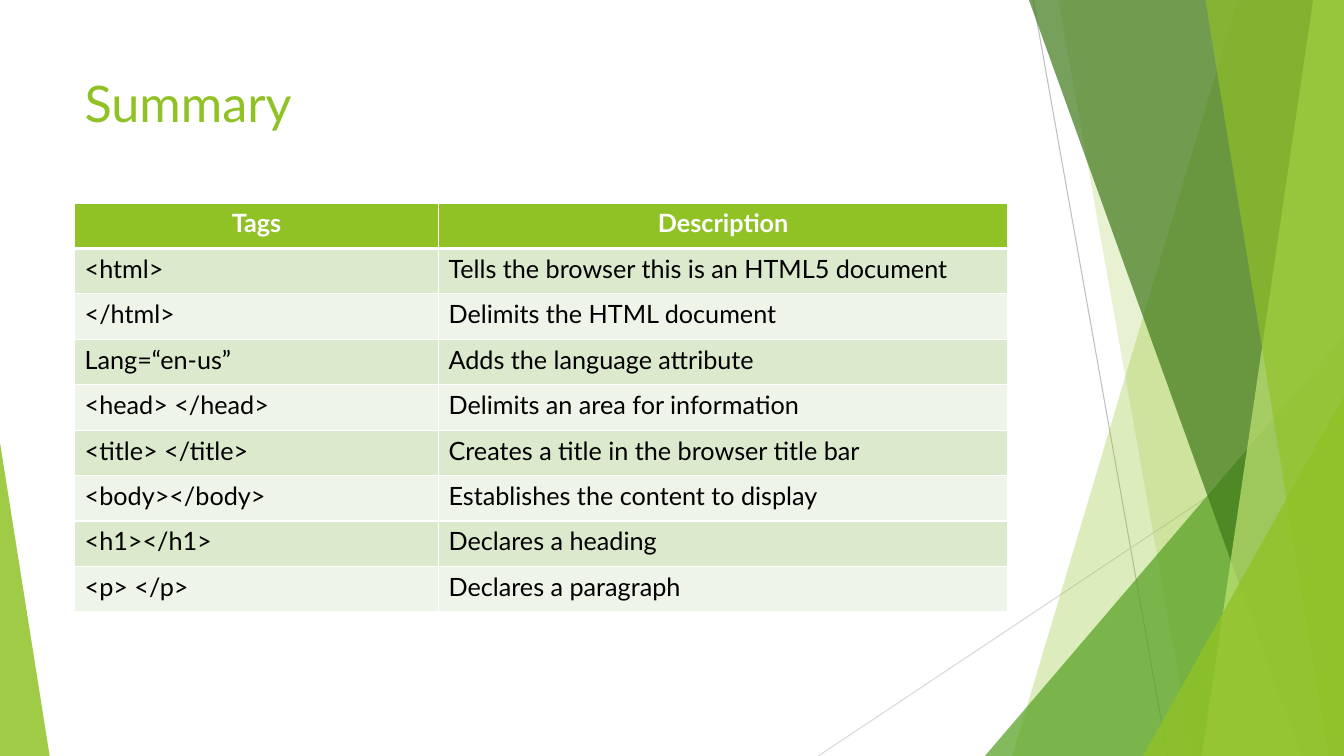
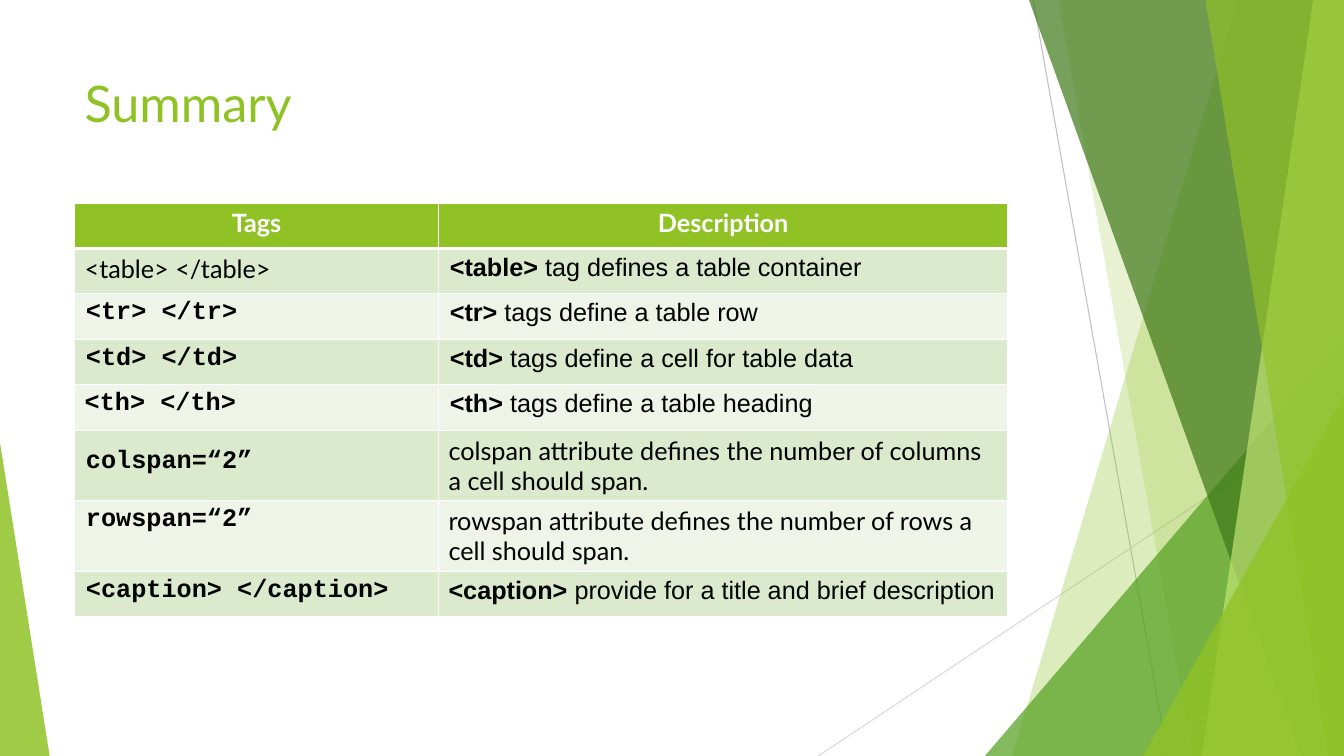
from collections import namedtuple
from dataclasses import dataclass

from lxml.etree import SubElement
from pptx import Presentation
from pptx.dml.color import RGBColor
from pptx.enum.shapes import MSO_CONNECTOR, MSO_SHAPE
from pptx.enum.text import PP_ALIGN
from pptx.oxml.ns import qn
from pptx.util import Pt


@dataclass(frozen=True)
class Theme:
    lime: str = "90C226"
    green: str = "54A021"
    forest: str = "3F7819"
    pale: str = "C0E474"
    white: str = "FFFFFF"
    black: str = "000000"
    stripes: tuple = ("DBE9CD", "EEF4E8")
    body_font: str = "Lato"
    sans: str = "Arial"
    mono: str = "Courier New"
    title_size: int = 36
    table_size: int = 18
    thin: int = 1
    thick: int = 3


theme = Theme()
WIDTH, HEIGHT = 960, 540
ROW_HEIGHT = 32.48
COLUMN_WIDTHS = (259.92, 406.8)
TABLE_LEFT, TABLE_TOP = 53.3, 145

# Backdrop: facets from back to front; a band runs from its slanted left edge
# (top x, bottom x) to the right edge, a triangle has left, top, width, apex
HAIRLINES = [(738, 0, 834, HEIGHT, "BFBFBF"), (WIDTH, 290, 584.5, HEIGHT, "D9D9D9")]
FACETS = [
    ("band", (884, 723), theme.lime, 30),
    ("band", (756, 852), theme.lime, 20),
    ("triangle", (703.5, 240, 256.5, 1), theme.green, 72),
    ("band", (735, 929.5), theme.forest, 70),
    ("band", (938, 858.5), theme.pale, 70),
    ("band", (861, 949), theme.lime, 65),
    ("triangle", (816.5, 283, 143.5, 1), theme.lime, 80),
    ("triangle", (0, 316, 35.5, 0), theme.lime, 85),
]

# Table content: each cell has a bold part, then a plain part
Cell = namedtuple("Cell", "bold plain font indent spacing",
                  defaults=("", theme.body_font, 0, None))
MONO = {"font": theme.mono, "indent": 0.9}
SANS = {"font": theme.sans, "indent": 0.9}
SUMMARIES = [
    [
        (Cell("", "<html>"), Cell("", "Tells the browser this is an HTML5 document")),
        (Cell("", "</html>"), Cell("", "Delimits the HTML document")),
        (Cell("", "Lang=“en-us”"), Cell("", "Adds the language attribute")),
        (Cell("", "<head> </head>"), Cell("", "Delimits an area for information")),
        (Cell("", "<title> </title>"), Cell("", "Creates a title in the browser title bar")),
        (Cell("", "<body></body>"), Cell("", "Establishes the content to display")),
        (Cell("", "<h1></h1>"), Cell("", "Declares a heading")),
        (Cell("", "<p> </p>"), Cell("", "Declares a paragraph")),
    ],
    [
        (Cell("", "<table> </table>"), Cell("<table> ", "tag defines a table container", **SANS)),
        (Cell("<tr> </tr>", **MONO), Cell("<tr> ", "tags define a table row", **SANS)),
        (Cell("<td> </td>", **MONO), Cell("<td> ", "tags define a cell for table data", **SANS)),
        (Cell("<th> </th>", font=theme.mono), Cell("<th> ", "tags define a table heading", **SANS)),
        (Cell("colspan=“2”", spacing=1.42, **MONO),
         Cell("", "colspan attribute defines the number of columns a cell should span.")),
        (Cell("rowspan=“2”", **MONO),
         Cell("", "rowspan attribute defines the number of rows a cell should span.")),
        (Cell("<caption> </caption>", **MONO),
         Cell("<caption> ", "provide for a title and brief description", font=theme.sans)),
    ],
]
HEADER = (Cell("Tags"), Cell("Description"))


def set_font(paragraph, name, size, color, bold=False):
    font = paragraph.font
    font.name, font.size, font.bold = name, Pt(size), bold
    font.color.rgb = RGBColor.from_string(color)


def add_border(cell, side, width):
    line = SubElement(cell._tc.get_or_add_tcPr(), qn(f"a:ln{side}"), w=str(Pt(width)))
    SubElement(SubElement(line, qn("a:solidFill")), qn("a:srgbClr"), val=theme.white)


deck = Presentation()
deck.slide_width, deck.slide_height = Pt(WIDTH), Pt(HEIGHT)

for summary in SUMMARIES:
    slide = deck.slides.add_slide(deck.slide_layouts[6])
    shapes = slide.shapes

    # Backdrop
    for x1, y1, x2, y2, color in HAIRLINES:
        hairline = shapes.add_connector(MSO_CONNECTOR.STRAIGHT, Pt(x1), Pt(y1), Pt(x2), Pt(y2))
        hairline.line.color.rgb = RGBColor.from_string(color)
        hairline.line.width = Pt(0.75)
        SubElement(hairline.element.spPr, qn("a:effectLst"))
    for kind, outline, color, opacity in FACETS:
        if kind == "band":
            top_x, bottom_x = outline
            corners = [(WIDTH, 0), (WIDTH, HEIGHT), (bottom_x, HEIGHT)]
            builder = shapes.build_freeform(Pt(top_x), Pt(0))
            builder.add_line_segments([(Pt(x), Pt(y)) for x, y in corners], close=True)
            facet = builder.convert_to_shape()
        else:
            left, top, width, apex = outline
            facet = shapes.add_shape(MSO_SHAPE.ISOSCELES_TRIANGLE,
                                     Pt(left), Pt(top), Pt(width), Pt(HEIGHT - top))
            facet.adjustments[0] = apex
        facet.shadow.inherit = False
        facet.line.fill.background()
        facet.fill.solid()
        facet.fill.fore_color.rgb = RGBColor.from_string(color)
        tint = facet.element.spPr.find(".//" + qn("a:srgbClr"))
        SubElement(tint, qn("a:alpha"), val=str(opacity * 1000))

    # Title
    title = shapes.add_textbox(Pt(53.3), Pt(48), Pt(677), Pt(104)).text_frame
    title.word_wrap = True
    title.text = "Summary"
    set_font(title.paragraphs[0], theme.body_font, theme.title_size, theme.lime)

    # Table of tags
    rows = [HEADER, *summary]
    tags = shapes.add_table(len(rows), len(COLUMN_WIDTHS), Pt(TABLE_LEFT), Pt(TABLE_TOP),
                            Pt(sum(COLUMN_WIDTHS)), Pt(ROW_HEIGHT * len(rows))).table
    tags.horz_banding = False
    for column, width in zip(tags.columns, COLUMN_WIDTHS):
        column.width = Pt(width)
    for r, row in enumerate(rows):
        tags.rows[r].height = Pt(ROW_HEIGHT)
        for c, content in enumerate(row):
            cell = tags.cell(r, c)
            for side in "LRTB":
                under_header = (r, side) in ((0, "B"), (1, "T"))
                add_border(cell, side, theme.thick if under_header else theme.thin)
            fill = theme.lime if r == 0 else theme.stripes[(r - 1) % 2]
            cell.fill.solid()
            cell.fill.fore_color.rgb = RGBColor.from_string(fill)

            paragraph = cell.text_frame.paragraphs[0]
            if r == 0:
                paragraph.alignment = PP_ALIGN.CENTER
            if content.indent:
                paragraph._p.get_or_add_pPr().set("marL", str(Pt(content.indent)))
            if content.spacing:
                paragraph.line_spacing = content.spacing
            set_font(paragraph, content.font, theme.table_size,
                     theme.white if r == 0 else theme.black, bold=not content.plain)
            for text in filter(None, (content.bold, content.plain)):
                paragraph.add_run().text = text
            if content.bold and content.plain:
                paragraph.runs[0].font.bold = True

deck.save("out.pptx")
